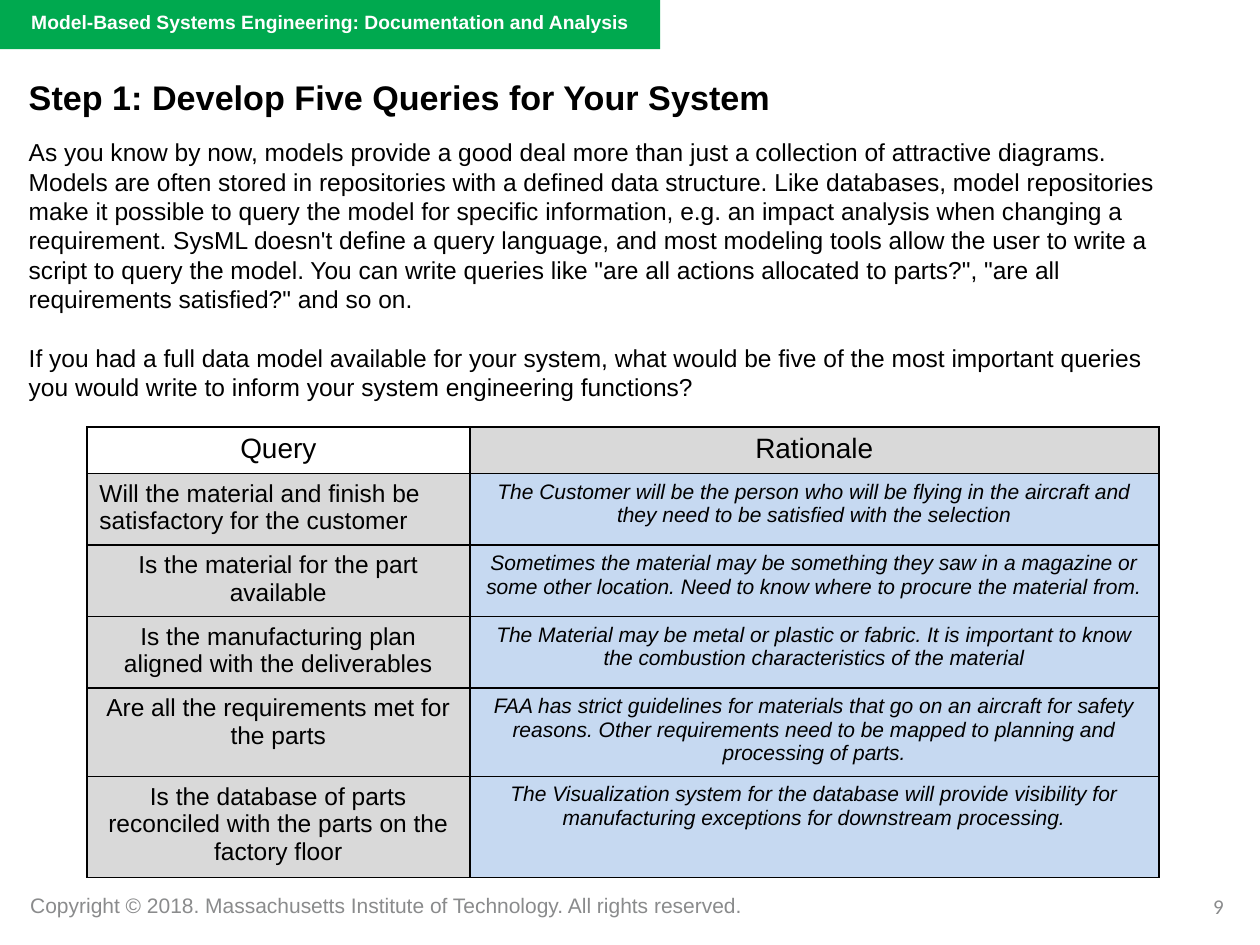
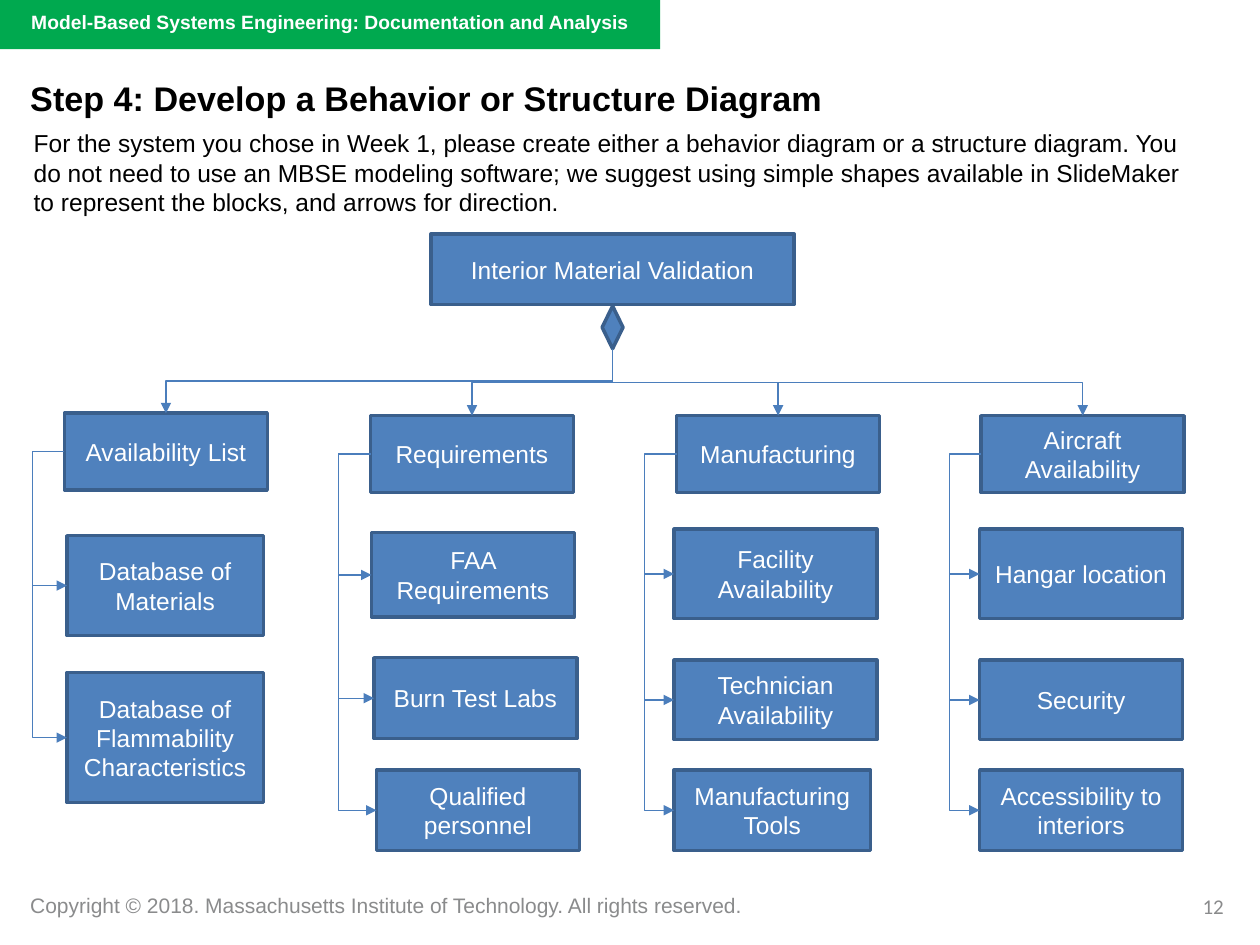
import pptx
import pptx.dml.color
import pptx.enum.shapes
import pptx.enum.text
import pptx.oxml
import pptx.oxml.ns
import pptx.util
from pptx.util import Cm

MSO_SHAPE = pptx.enum.shapes.MSO_SHAPE
LEFT, CENTER, RIGHT = (getattr(pptx.enum.text.PP_ALIGN, a) for a in ("LEFT", "CENTER", "RIGHT"))
NS = pptx.oxml.ns.nsdecls("a")

GREEN, GRAY, BLUE, EDGE, LINK = "00A94F", "8A8B8C", "4F81BD", "3A5F8C", "4B7EBC"
BLACK, WHITE, CELL_GRAY, CELL_BLUE = "000000", "FFFFFF", "D9D9D9", "C6D9F1"

# Text formats: font attributes, with the size in points
TITLE = {"name": "Arial", "size": 19.5, "bold": True}
BODY = {"name": "Arial", "size": 14}
BAND = {"name": "Arial", "size": 11, "bold": True}
FOOTER = {"name": "Arial", "size": 12}
NUMBER = {"name": "Calibri", "size": 12}
HEADER = {"name": "Arial", "size": 16}
RATIONALE = {"name": "Arial", "size": 12, "italic": True}


def rgb(value):
    return pptx.dml.color.RGBColor.from_string(value)


def write(tf, paragraphs, fmt, color=BLACK, align=LEFT, gap=0):
    tf.word_wrap = True
    for i, text in enumerate(paragraphs):
        p = tf.add_paragraph() if i else tf.paragraphs[0]
        p.alignment = align
        if i:
            p.space_before = pptx.util.Pt(gap)
        r = p.add_run()
        r.text = text
        for key, value in fmt.items():
            setattr(r.font, key, pptx.util.Pt(value) if key == "size" else value)
        r.font.color.rgb = rgb(color)


prs = pptx.Presentation()
prs.slide_width, prs.slide_height = Cm(25.4), Cm(19.05)

pages = [
    ("9", "Step 1: Develop Five Queries for Your System", (0.33, 1.3), (0.33, 2.64, 23.52, 5.64), [
        "As you know by now, models provide a good deal more than just a collection of attractive "
        "diagrams. Models are often stored in repositories with a defined data structure. Like "
        "databases, model repositories make it possible to query the model for specific information, "
        "e.g. an impact analysis when changing a requirement. SysML doesn't define a query language, "
        "and most modeling tools allow the user to write a script to query the model. You can write "
        "queries like \"are all actions allocated to parts?\", \"are all requirements satisfied?\" "
        "and so on.",
        "If you had a full data model available for your system, what would be five of the most "
        "important queries you would write to inform your system engineering functions?"]),
    ("12", "Step 4: Develop a Behavior or Structure Diagram", (0.36, 1.32), (0.43, 2.46, 23.75, 2.06), [
        "For the system you chose in Week 1, please create either a behavior diagram or a structure "
        "diagram. You do not need to use an MBSE modeling software; we suggest using simple shapes "
        "available in SlideMaker to represent the blocks, and arrows for direction."]),
]

# Band, footer, page number, title and body of every slide
for number, title, title_at, body_at, body in pages:
    s = prs.slides.add_slide(prs.slide_layouts[6])
    sp = s.shapes.add_shape(MSO_SHAPE.RECTANGLE, 0, 0, Cm(13.31), Cm(0.99))
    sp.shadow.inherit = False
    sp.fill.solid()
    sp.fill.fore_color.rgb = rgb(GREEN)
    sp.line.fill.background()
    for at, paragraphs, fmt, color, align in [
        ((0.36, 17.86, 15.3, 0.76),
         ["Copyright © 2018. Massachusetts Institute of Technology. All rights reserved."],
         FOOTER, GRAY, LEFT),
        ((0.38, 0.08, 13.31, 1.47),
         ["Model-Based Systems Engineering: Documentation and Analysis"], BAND, WHITE, LEFT),
        ((19, 17.88, 5.92, 1.02), [number], NUMBER, GRAY, RIGHT),
        ((*title_at, 22.6, 1.4), [title], TITLE, BLACK, LEFT),
        (body_at, body, BODY, BLACK, LEFT),
    ]:
        tf = s.shapes.add_textbox(*map(Cm, at)).text_frame
        write(tf, paragraphs, fmt, color, align, gap=16.8)
        if fmt is TITLE:
            tf.margin_top = tf.margin_bottom = Cm(0.25)

queries_slide, diagram_slide = prs.slides

# Table of queries
rows = [
    ("Query", "Rationale"),
    ("Will the material and finish be satisfactory for the customer",
     "The Customer will be the person who will be flying in the aircraft and they need to be "
     "satisfied with the selection"),
    ("Is the material for the part available",
     "Sometimes the material may be something they saw in a magazine or some other location. "
     "Need to know where to procure the material from."),
    ("Is the manufacturing plan aligned with the deliverables",
     "The Material may be metal or plastic or fabric. It is important to know the combustion "
     "characteristics of the material"),
    ("Are all the requirements met for the parts",
     "FAA has strict guidelines for materials that go on an aircraft for safety reasons. Other "
     "requirements need to be mapped to planning and processing of parts."),
    ("Is the database of parts reconciled with the parts on the factory floor",
     "The Visualization system for the database will provide visibility for manufacturing "
     "exceptions for downstream processing."),
]
heights = [0.94, 1.44, 1.44, 1.44, 1.77, 2.04]
table = queries_slide.shapes.add_table(
    len(rows), 2, Cm(1.75), Cm(8.61), Cm(21.61), Cm(sum(heights))).table
table.first_row = table.horz_banding = False
for column, width in zip(table.columns, (7.72, 13.89)):
    column.width = Cm(width)
for i, row in enumerate(rows):
    table.rows[i].height = Cm(heights[i])
    for j, text in enumerate(row):
        cell = table.cell(i, j)
        tcPr = cell._tc.get_or_add_tcPr()
        for side in "LRTB":
            tcPr.append(pptx.oxml.parse_xml(
                f'<a:ln{side} {NS} w="12700"><a:solidFill><a:srgbClr val="{BLACK}"/>'
                f'</a:solidFill></a:ln{side}>'))
        if (i, j) == (0, 0):
            cell.fill.background()
        else:
            cell.fill.solid()
            cell.fill.fore_color.rgb = rgb(CELL_BLUE if i and j else CELL_GRAY)
        fmt = HEADER if i == 0 else RATIONALE if j else BODY
        write(cell.text_frame, [text], fmt, align=LEFT if (i, j) == (1, 0) else CENTER)

# Blocks of the structure diagram: a root, its diamond, then four branches
branches = [
    [("Availability List", 1.3, 8.33, 4.09, 1.55),
     ("Database of Materials", 1.35, 10.8, 3.96, 2.01),
     ("Database of Flammability Characteristics", 1.35, 13.56, 3.96, 2.62)],
    [("Requirements", 7.47, 8.38, 4.09, 1.55),
     ("FAA Requirements", 7.49, 10.74, 4.09, 1.7),
     ("Burn Test Labs", 7.54, 13.26, 4.09, 1.63),
     ("Qualified personnel", 7.59, 15.52, 4.09, 1.63)],
    [("Manufacturing", 13.64, 8.38, 4.09, 1.55),
     ("Facility Availability", 13.59, 10.67, 4.09, 1.8),
     ("Technician Availability", 13.59, 13.31, 4.09, 1.6),
     ("Manufacturing Tools", 13.59, 15.52, 3.96, 1.63)],
    [("Aircraft Availability", 19.78, 8.38, 4.09, 1.55),
     ("Hangar location", 19.75, 10.67, 4.09, 1.8),
     ("Security", 19.75, 13.31, 4.09, 1.6),
     ("Accessibility to interiors", 19.75, 15.52, 4.09, 1.63)],
]
root = [("Interior Material Validation", 8.69, 4.72, 7.32, 1.42), ("", 12.14, 6.17, 0.42, 0.86)]
blocks = []
for group in [root] + branches:
    blocks.append([])
    for text, *at in group:
        kind = MSO_SHAPE.RECTANGLE if text else MSO_SHAPE.FLOWCHART_DECISION
        sp = diagram_slide.shapes.add_shape(kind, *map(Cm, at))
        sp.shadow.inherit = False
        sp.fill.solid()
        sp.fill.fore_color.rgb = rgb(BLUE)
        sp.line.color.rgb = rgb(EDGE)
        sp.line.width = pptx.util.Pt(2)
        if text:
            sp.text_frame.vertical_anchor = pptx.enum.text.MSO_ANCHOR.MIDDLE
            write(sp.text_frame, [text], BODY, WHITE, CENTER)
        blocks[-1].append(sp)

# Elbow arrows: diamond to each branch head, head to each of its parts
diamond = blocks[0][1]
links = []
for head, *parts in blocks[1:]:
    links.append((diamond, 2, head, 0))
    links += [(head, 1, part, 1) for part in parts]
for begin, begin_site, end, end_site in links:
    cx = diagram_slide.shapes.add_connector(pptx.enum.shapes.MSO_CONNECTOR.ELBOW, 0, 0, 0, 0)
    cx.begin_connect(begin, begin_site)
    cx.end_connect(end, end_site)
    cx.line.color.rgb = rgb(LINK)
    cx.line.width = pptx.util.Pt(0.75)
    cx.line._get_or_add_ln().append(pptx.oxml.parse_xml(f'<a:tailEnd {NS} type="triangle"/>'))
    spPr = cx._element.spPr
    spPr.append(pptx.oxml.parse_xml(f"<a:effectLst {NS}/>"))
    dx, dy = cx.end_x - cx.begin_x, cx.end_y - cx.begin_y
    if begin is diamond:
        # Turn the elbow about its centre so that it leaves downwards
        mid_x, mid_y = cx.begin_x + dx // 2, cx.begin_y + dy // 2
        cx.width, cx.height = dy, abs(dx)
        cx.left, cx.top = mid_x - dy // 2, mid_y - abs(dx) // 2
        xfrm = spPr.find(pptx.oxml.ns.qn("a:xfrm"))
        xfrm.set("rot", str((90 if dx < 0 else 270) * 60000))
        xfrm.set("flipH", "0" if dx < 0 else "1")
    else:
        # Run the upright part to the left of the head
        bend = round(-Cm(0.64) / dx * 100000)
        avLst = spPr.find(".//" + pptx.oxml.ns.qn("a:avLst"))
        avLst.append(pptx.oxml.parse_xml(f'<a:gd {NS} name="adj1" fmla="val {bend}"/>'))

prs.save("out.pptx")
